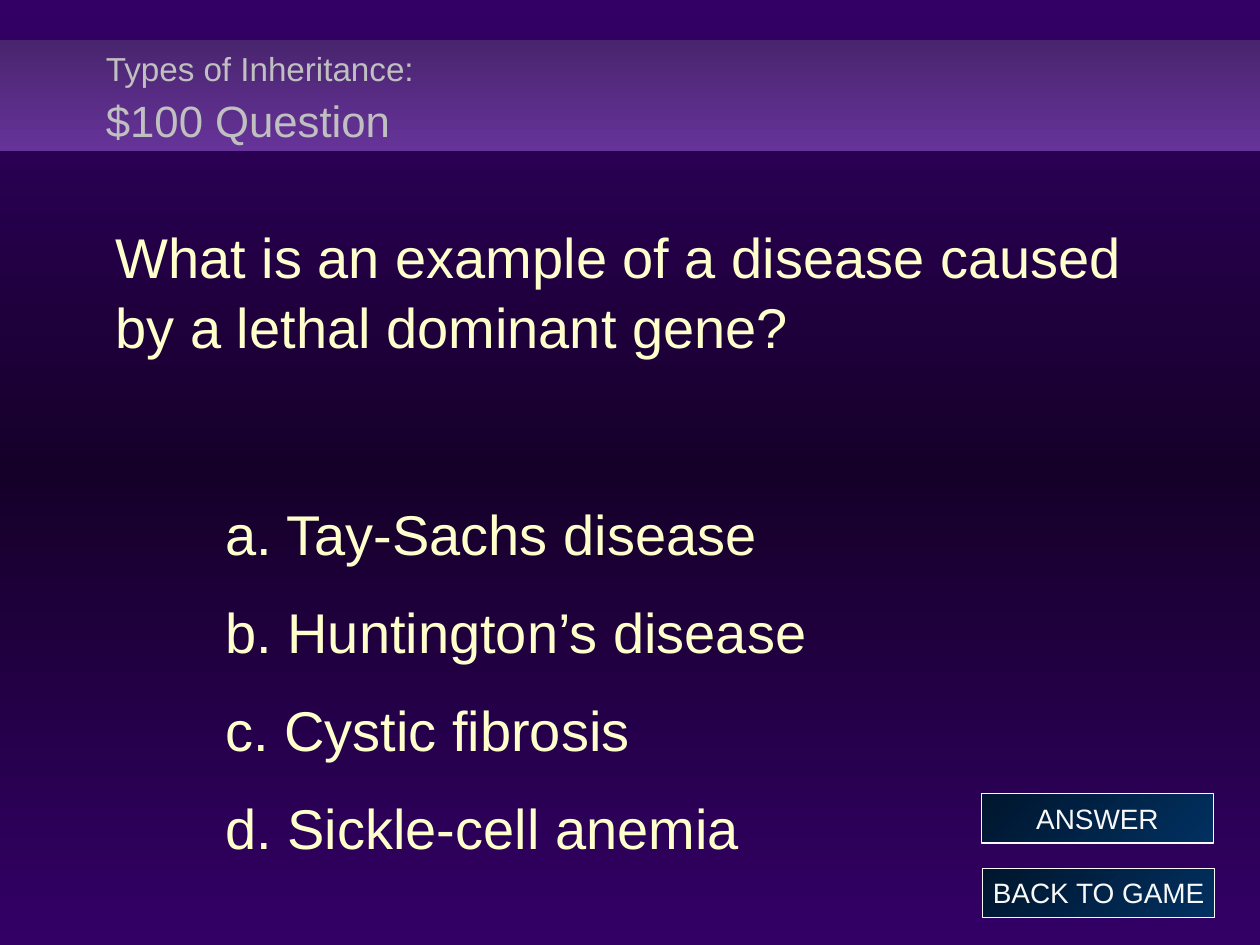
"""Build a quiz question slide with four choices and two navigation buttons."""
from copy import deepcopy
from dataclasses import dataclass

from pptx import Presentation
from pptx.dml.color import RGBColor
from pptx.enum.shapes import MSO_SHAPE
from pptx.enum.text import MSO_ANCHOR, MSO_AUTO_SIZE, PP_ALIGN
from pptx.util import Inches, Pt

RECTANGLE = MSO_SHAPE.RECTANGLE
MIDDLE = MSO_ANCHOR.MIDDLE
NO_AUTOFIT = MSO_AUTO_SIZE.NONE
LEFT, CENTER = PP_ALIGN.LEFT, PP_ALIGN.CENTER
TITLE_ONLY = 5
FONT = "Arial"
COLORS = {
    "violet": "330066",
    "night": "150029",
    "band_top": "49256E",
    "band_bottom": "663399",
    "silver": "C0C0C0",
    "cream": "FFFFCC",
    "navy": "013061",
    "dark_navy": "00162D",
    "white": "F8F8F8",
}
QUESTION = "What is an example of a disease caused by a lethal dominant gene?"
CHOICES = (
    "a. Tay-Sachs disease",
    "b. Huntington’s disease",
    "c. Cystic fibrosis",
    "d. Sickle-cell anemia",
)


@dataclass(frozen=True)
class Button:
    label: str
    left: float
    top: float


BUTTONS = (Button("BACK TO GAME", 7.8, 6.89), Button("ANSWER", 7.79, 6.3))


def rgb(name: str) -> RGBColor:
    return RGBColor.from_string(COLORS[name])


def fill_gradient(fill, element, names: tuple[str, ...], angle: int) -> None:
    """Spread the named colours evenly; the angle runs clockwise."""
    fill.gradient()
    fill.gradient_angle = 360 - angle
    stop_list = element.xpath(".//a:gsLst")[0]
    for _ in names[2:]:
        stop_list.append(deepcopy(stop_list[-1]))
    for index, (stop, name) in enumerate(zip(fill.gradient_stops, names)):
        stop.position = index / (len(names) - 1)
        stop.color.rgb = rgb(name)


def add_text(para, text: str, *, size: float, color: str, align=LEFT) -> None:
    para.alignment = align
    span = para.add_run()
    span.text = text
    span.font.name = FONT
    span.font.size = Pt(size)
    span.font.color.rgb = rgb(color)


def add_panel(page, left: float, top: float, width: float, height: float,
              names: tuple[str, ...], angle: int):
    panel = page.shapes.add_shape(
        RECTANGLE, Inches(left), Inches(top), Inches(width), Inches(height))
    panel.shadow.inherit = False
    panel.line.fill.background()
    fill_gradient(panel.fill, panel.element, names, angle)
    return panel


def add_button(page, button: Button) -> None:
    box = add_panel(page, button.left, button.top, 1.84, 0.39,
                    ("navy", "dark_navy"), 225)
    box.line.color.rgb = rgb("white")
    box.line.width = Pt(0.75)
    frame = box.text_frame
    frame.word_wrap = False
    frame.vertical_anchor = MIDDLE
    add_text(frame.paragraphs[0], button.label, size=16, color="white", align=CENTER)


def fill_title(page) -> None:
    title = page.shapes.title
    title.left, title.top = Inches(0.74), Inches(0.31)
    title.width, title.height = Inches(9.08), Inches(0.89)
    frame = title.text_frame
    frame.auto_size = NO_AUTOFIT
    frame.vertical_anchor = MIDDLE
    para = frame.paragraphs[0]
    para.line_spacing = 1.1
    add_text(para, "Types of Inheritance:", size=19, color="silver")
    para.add_line_break()
    add_text(para, "$100 Question", size=25, color="silver")


def add_question(page) -> None:
    box = page.shapes.add_textbox(
        Inches(0.82), Inches(1.43), Inches(8.64), Inches(5.72))
    frame = box.text_frame
    frame.word_wrap = True
    frame.vertical_anchor = MIDDLE
    for index, text in enumerate((QUESTION, *CHOICES)):
        para = frame.paragraphs[0] if index == 0 else frame.add_paragraph()
        para.line_spacing = 1.04
        para.space_before = Pt((0, 70.4)[index] if index < 2 else 8)
        para.space_after = Pt(8 if index < len(CHOICES) else 0)
        if index:
            properties = para._p.get_or_add_pPr()
            properties.set("marL", str(Inches(1.38)))
            properties.set("indent", str(Inches(-0.51)))
        add_text(para, text, size=32, color="cream")


def main() -> None:
    deck = Presentation()
    deck.slide_width, deck.slide_height = Inches(10), Inches(7.5)
    page = deck.slides.add_slide(deck.slide_layouts[TITLE_ONLY])
    fill_gradient(page.background.fill, page.element, ("violet", "night", "violet"), 90)
    band = add_panel(page, 0, 0.32, 10, 0.88, ("band_top", "band_bottom"), 90)
    page.shapes.title.element.addprevious(band.element)
    fill_title(page)
    add_question(page)
    for button in BUTTONS:
        add_button(page, button)
    deck.save("out.pptx")


if __name__ == "__main__":
    main()
